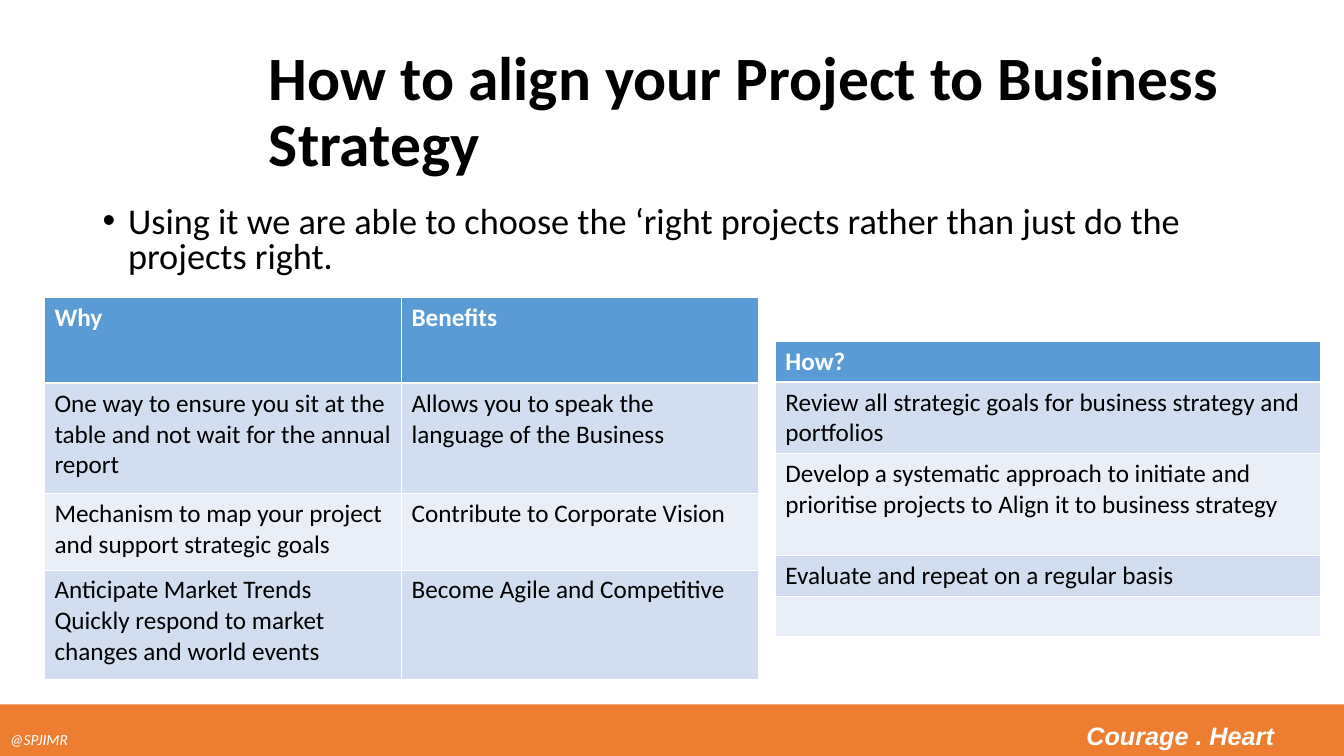
from lxml import etree
from pptx import Presentation, util as u
from pptx.dml.color import RGBColor
from pptx.enum import shapes, text
from pptx.oxml import ns

BLACK = RGBColor(0x00, 0x00, 0x00)
WHITE = RGBColor(0xFF, 0xFF, 0xFF)
ORANGE = RGBColor(0xED, 0x7D, 0x31)
HEADER_BLUE = RGBColor(0x5B, 0x9B, 0xD5)
BANDS = [RGBColor(0xEA, 0xEF, 0xF7), RGBColor(0xD2, 0xDE, 0xEF)]
THIN, THICK = 0.45, 1.47


class StrategySlide:
    """Holds the text style and the slide being built."""

    font = "Calibri"

    def __init__(self, deck):
        self.slide = deck.slides.add_slide(deck.slide_layouts[6])

    def run(self, paragraph, words, size, color=BLACK, bold=False, italic=False, font=None):
        part = paragraph.add_run()
        part.text = words
        part.font.name = font or self.font
        part.font.size = u.Pt(size)
        part.font.bold = bold
        part.font.italic = italic
        part.font.color.rgb = color

    def text_box(self, place, words, size, spacing, bold=False, bullet=False,
                 anchor=text.MSO_ANCHOR.TOP):
        frame = self.slide.shapes.add_textbox(*map(u.Cm, place)).text_frame
        frame.word_wrap = True
        frame.vertical_anchor = anchor
        paragraph = frame.paragraphs[0]
        paragraph.line_spacing = spacing
        if bullet:
            props = paragraph._p.get_or_add_pPr()
            props.set("marL", str(u.Cm(0.64)))
            props.set("indent", str(u.Cm(-0.64)))
            etree.SubElement(props, ns.qn("a:buFont"), typeface="Arial")
            etree.SubElement(props, ns.qn("a:buChar"), char="•")
        self.run(paragraph, words, size, bold=bold)

    def footer(self, place, handle, motto, motto_at):
        bar = self.slide.shapes.add_shape(shapes.MSO_SHAPE.RECTANGLE, *map(u.Cm, place))
        bar.shadow.inherit = False
        bar.fill.solid()
        bar.fill.fore_color.rgb = ORANGE
        bar.line.fill.background()
        frame = bar.text_frame
        frame.word_wrap = True
        frame.vertical_anchor = text.MSO_ANCHOR.BOTTOM
        paragraph = frame.paragraphs[0]
        paragraph.alignment = text.PP_ALIGN.LEFT
        tabs = etree.SubElement(paragraph._p.get_or_add_pPr(), ns.qn("a:tabLst"))
        etree.SubElement(tabs, ns.qn("a:tab"), pos=str(u.Cm(motto_at)), algn="l")
        self.run(paragraph, handle + "\t", 11, WHITE, italic=True)
        self.run(paragraph, motto, 18, WHITE, bold=True, italic=True, font="Arial")

    def borders(self, cell, row):
        props = cell._tc.get_or_add_tcPr()
        widths = {"L": THIN, "R": THIN,
                  "T": THICK if row == 1 else THIN,
                  "B": THICK if row == 0 else THIN}
        for side, width in widths.items():
            edge = etree.SubElement(props, ns.qn("a:ln" + side), w=str(u.Pt(width)))
            fill = etree.SubElement(edge, ns.qn("a:solidFill"))
            etree.SubElement(fill, ns.qn("a:srgbClr"), val=str(WHITE))

    def table(self, left, top, col_width, heights, rows):
        cols = len(rows[0])
        grid = self.slide.shapes.add_table(
            len(rows), cols, u.Cm(left), u.Cm(top),
            u.Cm(col_width * cols), u.Cm(sum(heights))).table
        for column in grid.columns:
            column.width = u.Cm(col_width)
        for r, (height, entries) in enumerate(zip(heights, rows)):
            grid.rows[r].height = u.Cm(height)
            for c, entry in enumerate(entries):
                cell = grid.cell(r, c)
                self.borders(cell, r)
                cell.fill.solid()
                cell.fill.fore_color.rgb = BANDS[r % 2] if r else HEADER_BLUE
                frame = cell.text_frame
                for i, line in enumerate(entry.splitlines()):
                    paragraph = frame.add_paragraph() if i else frame.paragraphs[0]
                    self.run(paragraph, line, 18, BLACK if r else WHITE, bold=r == 0)


def main():
    deck = Presentation()
    deck.slide_width, deck.slide_height = u.Cm(33.87), u.Cm(19.05)
    page = StrategySlide(deck)

    # Footer bar
    page.footer((0, 17.75, 33.87, 1.3), "@SPJIMR", "Courage . Heart", 27.13)

    # Title and key message
    page.text_box((6.53, 1.02, 25, 3.68), "How to align your Project to Business Strategy",
                  44, 0.9, bold=True, anchor=text.MSO_ANCHOR.MIDDLE)
    page.text_box((2.34, 5.08, 29.2, 2.06),
                  "Using it we are able to choose the ‘right projects rather than "
                  "just do the projects right.", 25.9, 0.8, bullet=True)

    # Reasons and benefits
    page.table(1.12, 7.5, 9, [2.16, 2.77, 1.93, 2.75], [
        ["Why", "Benefits"],
        ["One way to ensure you sit at the table and not wait for the annual report",
         "Allows you to speak the language of the Business"],
        ["Mechanism to map your project and support strategic goals",
         "Contribute to Corporate Vision"],
        ["Anticipate Market Trends\nQuickly respond to market changes and world events",
         "Become Agile and Competitive"],
    ])

    # Steps
    page.table(19.54, 8.61, 13.74, [1.02, 1.79, 2.58, 1.02, 1.02], [
        ["How?"],
        ["Review all strategic goals for business strategy and portfolios"],
        ["Develop a systematic approach to initiate and prioritise projects "
         "to Align it to business strategy"],
        ["Evaluate and repeat on a regular basis"],
        [""],
    ])

    deck.save("out.pptx")


if __name__ == "__main__":
    main()
